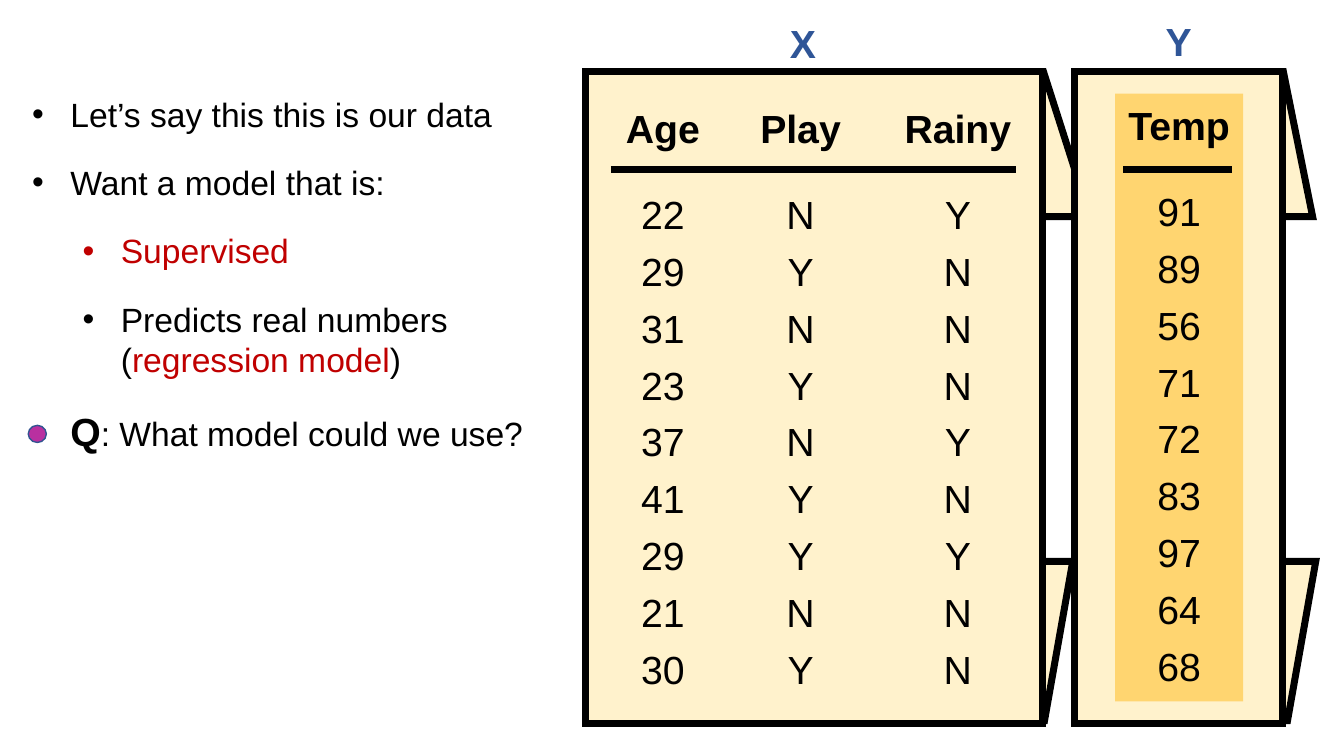
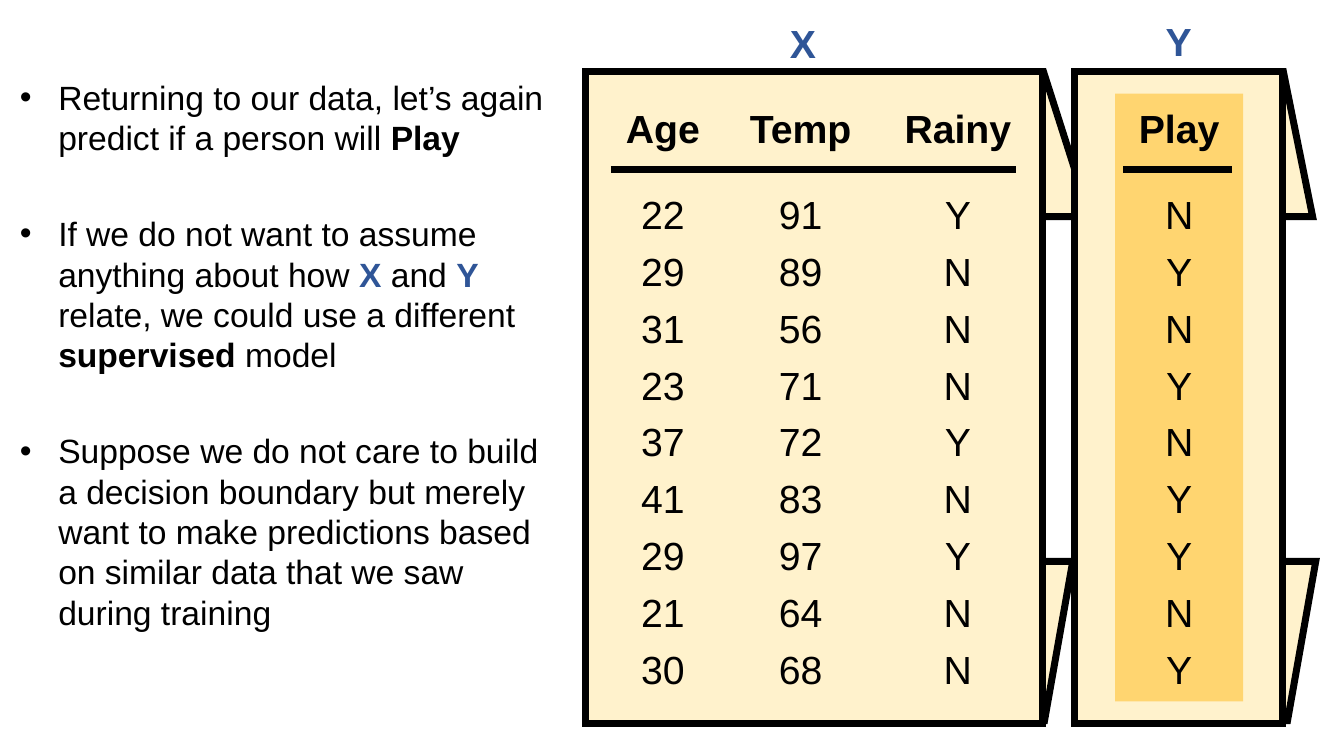
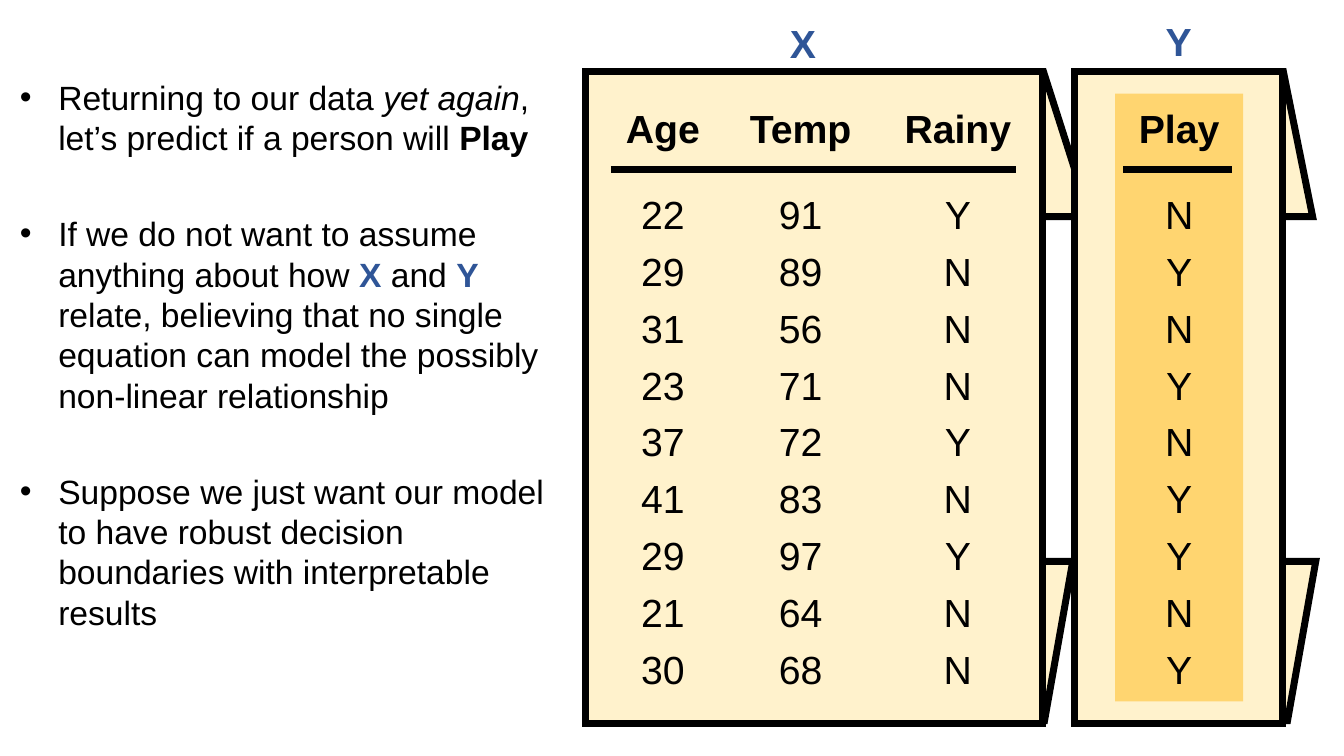
from dataclasses import dataclass

from lxml.etree import SubElement
from pptx import Presentation
from pptx.dml.color import RGBColor
from pptx.enum.shapes import MSO_CONNECTOR, MSO_SHAPE
from pptx.enum.text import MSO_ANCHOR, PP_ALIGN
from pptx.oxml.ns import qn
from pptx.util import Inches, Pt


# Colours, type and sizes shared by all slides
@dataclass(frozen=True)
class Theme:
    font: str = "Arial"
    body: int = 24
    large: int = 28
    stroke: int = 5
    ink: str = "000000"
    blue: str = "2F5597"
    red: str = "C00000"
    cream: str = "FFF2CC"
    gold: str = "FFD570"
    dot: str = "B930A0"
    rim: str = "325491"


T = Theme()
PLAIN = "{2D5ABB26-0587-4C30-8999-92F81FD0307C}"  # table style without grid

# Data columns
DATA = {
    "Age": [22, 29, 31, 23, 37, 41, 29, 21, 30],
    "Play": "NYNYNYYNY",
    "Rainy": "YNNNYNYNN",
    "Temp": [91, 89, 56, 71, 72, 83, 97, 64, 68],
}

# Table geometry in inches
TOP, HEAD, ROW = 0.71, 1.15, 5.08 / 9
BOLD = {"bold": True}
BLUE = {"bold": True, "color": T.blue}
RED = {"color": T.red}


def rgb(code):
    return RGBColor.from_string(code)


def write(par, runs, size=T.large, bold=False, italic=False, color=T.ink,
          align=None):
    """Fill a paragraph; a run is a string or a (string, format) pair."""
    par.alignment = align
    base = {"size": size, "bold": bold, "italic": italic, "color": color}
    for item in runs:
        words, extra = (item, {}) if isinstance(item, str) else item
        look = base | extra
        run = par.add_run()
        run.text = words
        font = run.font
        font.name, font.size = T.font, Pt(look["size"])
        font.bold, font.italic = look["bold"], look["italic"]
        font.color.rgb = rgb(look["color"])


def bullet(par, level):
    """Give a paragraph a hanging bullet."""
    par.level = level
    props = par._p.get_or_add_pPr()
    props.set("marL", str(Inches(0.38 + 0.5 * level)))
    props.set("indent", str(Inches(-0.38)))
    SubElement(props, qn("a:buFont"), typeface=T.font)
    SubElement(props, qn("a:buChar"), char="•")


def frame(slide, at):
    box = slide.shapes.add_textbox(*map(Inches, at)).text_frame
    box.word_wrap = True
    return box


def points(slide, at, items, gap):
    """Bulleted text; an item is (level, runs)."""
    box = frame(slide, at)
    for i, (level, runs) in enumerate(items):
        par = box.add_paragraph() if i else box.paragraphs[0]
        bullet(par, level)
        if i:
            par.space_before = Pt(gap)
        write(par, runs, size=T.body)


def label(slide, at, words):
    write(frame(slide, at).paragraphs[0], [words], bold=True, color=T.blue,
          align=PP_ALIGN.CENTER)


def shape(slide, kind, at, fill, line=None, width=T.stroke, adj=None,
          flip=False):
    item = slide.shapes.add_shape(kind, *map(Inches, at))
    item.shadow.inherit = False
    item.fill.solid()
    item.fill.fore_color.rgb = rgb(fill)
    if line:
        item.line.color.rgb = rgb(line)
        item.line.width = Pt(width)
        SubElement(item.line._get_or_add_ln(), qn("a:miter"), lim="800000")
    else:
        item.line.fill.background()
    if adj is not None:
        item.adjustments[0] = adj
    if flip:
        item._element.spPr.find(qn("a:xfrm")).set("flipH", "1")


def rule(slide, left, right, y):
    line = slide.shapes.add_connector(
        MSO_CONNECTOR.STRAIGHT, *map(Inches, (left, y, right, y)))
    line.line.color.rgb = rgb(T.ink)
    line.line.width = Pt(T.stroke)
    SubElement(line._element.spPr, qn("a:effectLst"))


def grid(slide, left, top, names, widths):
    """Table of the named data columns under bold headings."""
    high = HEAD + 9 * ROW
    table = slide.shapes.add_table(
        10, len(names), *map(Inches, (left, top, sum(widths), high))).table
    table.first_row = table.horz_banding = False
    table._tbl.tblPr.find(qn("a:tableStyleId")).text = PLAIN
    for i, row in enumerate(table.rows):
        row.height = Inches(ROW if i else HEAD)
    for col, (name, width) in enumerate(zip(names, widths)):
        table.columns[col].width = Inches(width)
        for i, value in enumerate([name, *DATA[name]]):
            cell = table.cell(i, col)
            cell.fill.background()
            cell.vertical_anchor = MSO_ANCHOR.MIDDLE
            cell.margin_left = cell.margin_right = 0
            cell.margin_top = cell.margin_bottom = 0
            write(cell.text_frame.paragraphs[0], [str(value)], bold=i == 0,
                  align=PP_ALIGN.CENTER)


def panels(slide, middle, target, lift=0):
    """Folded X and Y panels with their data."""
    folds = [
        ((11.02, 5.57, 2.03, 1.58), 0.177, False),
        ((11.06, TOP, 1.96, 1.44), 0.202, True),
        ((8.61, 5.57, 2.03, 1.58), 0.177, False),
        ((7.64, TOP, 3.17, 1.44), 0.32, True),
    ]
    for at, adj, flip in folds:
        shape(slide, MSO_SHAPE.PARALLELOGRAM, at, T.cream, T.ink, adj=adj,
              flip=flip)
    for left, width in ((10.66, 2.06), (5.81, 4.53)):
        shape(slide, MSO_SHAPE.RECTANGLE, (left, TOP, width, 6.47), T.cream,
              T.ink)
    shape(slide, MSO_SHAPE.RECTANGLE, (11.06, 0.93, 1.27, 6.03), T.gold)
    label(slide, (7.45, 0.14, 1.03, 0.57), "X")
    label(slide, (11.25, 0.12, 0.88, 0.57), "Y")
    grid(slide, 5.95, TOP, ["Age", middle, "Rainy"], [1.25, 1.48, 1.64])
    grid(slide, 11.06, TOP - lift, [target], [1.27])
    rule(slide, 6.06, 10.08, 1.68)
    rule(slide, 11.14, 12.22, 1.68)


def main():
    deck = Presentation()
    deck.slide_width, deck.slide_height = Inches(13.33), Inches(7.5)
    blank = deck.slide_layouts[6]

    # Regression question
    slide = deck.slides.add_slide(blank)
    points(slide, (0.22, 0.88, 5.59, 4.29), [
        (0, ["Let’s say this this is our data"]),
        (0, ["Want a model that is:"]),
        (1, [("Supervised", RED)]),
        (1, ["Predicts real numbers (", ("regression model", RED), ")"]),
        (0, [("Q", {"size": T.large, "bold": True}),
             ": What model could we use?"]),
    ], gap=20)
    panels(slide, "Play", "Temp", lift=0.03)
    shape(slide, MSO_SHAPE.OVAL, (0.28, 4.22, 0.18, 0.17), T.dot, T.rim,
          width=1)

    # Classification slides
    assume = ["If we do not want to assume anything about how ", ("X", BLUE),
              " and ", ("Y", BLUE)]
    similar = [
        ["Returning to our data, let’s again predict if a person will ",
         ("Play", BOLD)],
        assume + [" relate, we could use a different ", ("supervised", BOLD),
                  " model"],
        ["Suppose we do not care to build a decision boundary but merely "
         "want to make predictions based on similar data that we saw "
         "during training"],
    ]
    robust = [
        ["Returning to our data ", ("yet again", {"italic": True}),
         ", let’s predict if a person will ", ("Play", BOLD)],
        assume + [" relate, believing that no single equation can model "
                  "the possibly non-linear relationship"],
        ["Suppose we just want our model to have robust decision "
         "boundaries with interpretable results"],
    ]
    for items in (similar, robust):
        slide = deck.slides.add_slide(blank)
        points(slide, (0.1, 0.71, 5.53, 6.63),
               [(0, runs) for runs in items], gap=40)
        panels(slide, "Temp", "Play")

    deck.save("out.pptx")


if __name__ == "__main__":
    main()
